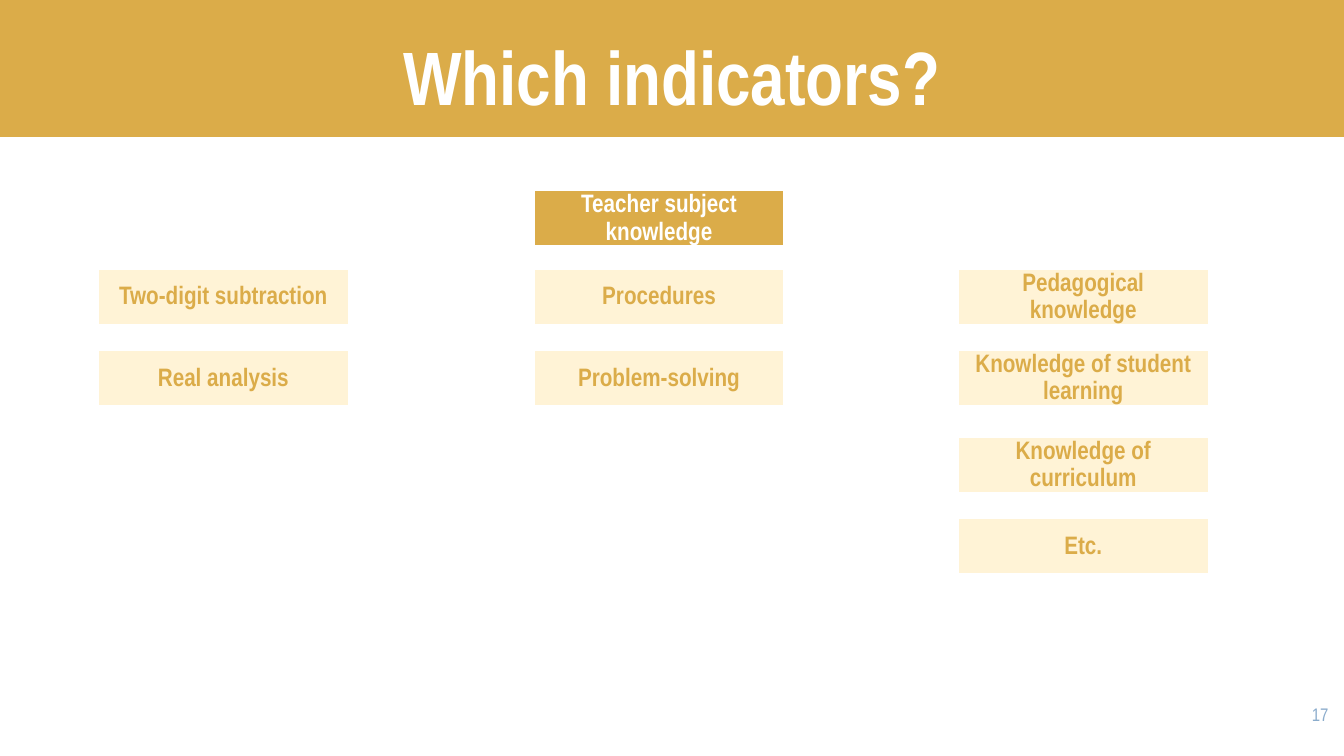
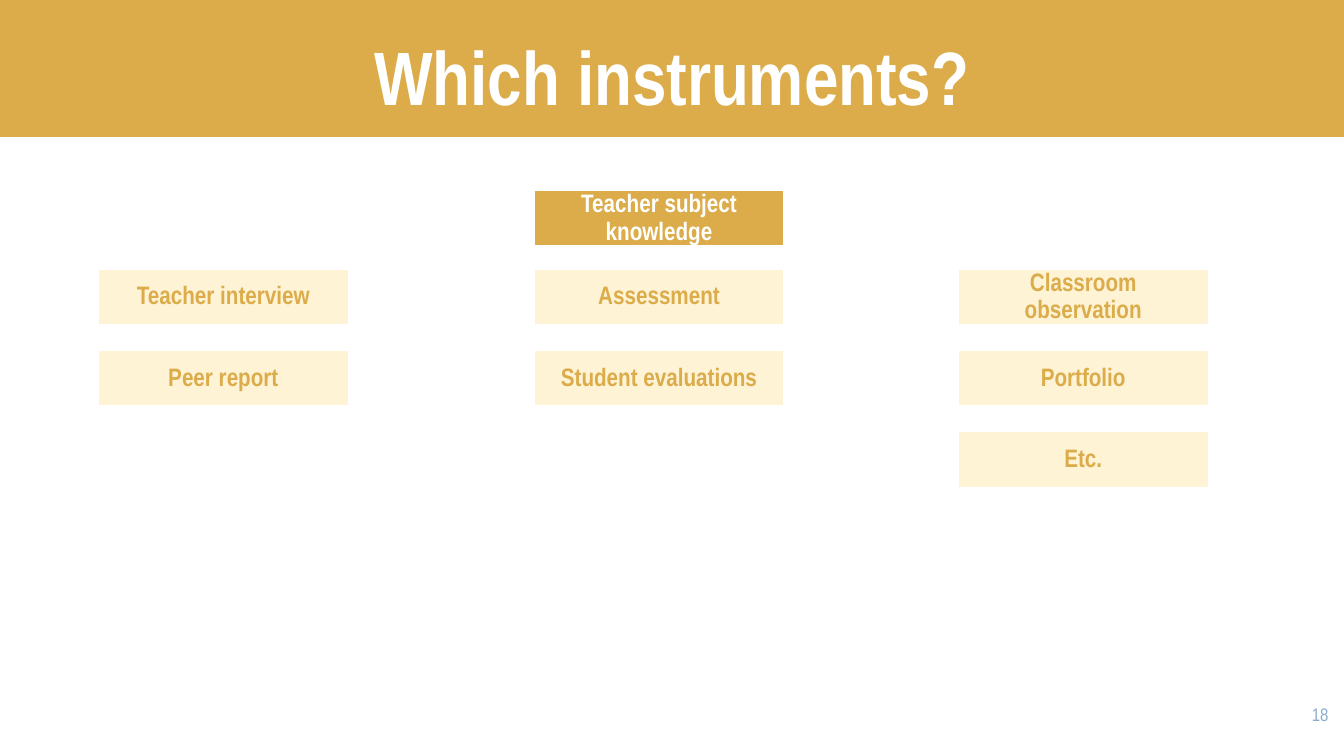
from pptx import Presentation
from pptx import util as u
from pptx.dml.color import RGBColor
from pptx.enum import shapes, text

COLORS = {"gold": "DBAC49", "cream": "FFF3D6", "white": "FFFFFF", "number": "8BACCC"}
FONT = "Arial Narrow"
SLIDE_W, SLIDE_H = 33.87, 19.05
BAND_H = 3.45
COLUMNS_X = (2.46, 13.44, 24.13)
BOX_W, BOX_H = 6.34, 1.44
HEAD_Y, GRID_Y, PITCH = 4.78, 6.76, 2.05

SLIDES = [
    {
        "title": "Which indicators?",
        "number": "17",
        "columns": [
            ["Two-digit subtraction", "Real analysis"],
            ["Procedures", "Problem-solving"],
            ["Pedagogical knowledge", "Knowledge of student learning",
             "Knowledge of curriculum", "Etc."],
        ],
        "lower_shift": 0.13,
    },
    {
        "title": "Which instruments?",
        "number": "18",
        "columns": [
            ["Teacher interview", "Peer report"],
            ["Assessment", "Student evaluations"],
            ["Classroom observation", "Portfolio", "Etc."],
        ],
        "lower_shift": 0,
    },
]


def rgb(name):
    """Return the named palette colour."""
    return RGBColor.from_string(COLORS[name])


def write(sp, words, size, color, align, anchor, bold=False, inset=(0.25, 0.13), spacing=1.0):
    """Write one line of styled text into a shape."""
    tf = sp.text_frame
    tf.word_wrap = True
    tf.vertical_anchor = anchor
    tf.margin_left = tf.margin_right = u.Cm(inset[0])
    tf.margin_top = tf.margin_bottom = u.Cm(inset[1])
    p = tf.paragraphs[0]
    p.alignment = align
    p.line_spacing = spacing
    r = p.add_run()
    r.text = words
    r.font.name, r.font.size, r.font.bold = FONT, u.Pt(size), bold
    r.font.color.rgb = rgb(color)


def add_rect(s, x, y, w, h, fill):
    """Add a flat rectangle without an outline."""
    sp = s.shapes.add_shape(shapes.MSO_SHAPE.RECTANGLE, u.Cm(x), u.Cm(y), u.Cm(w), u.Cm(h))
    sp.shadow.inherit = False
    sp.fill.solid()
    sp.fill.fore_color.rgb = rgb(fill)
    sp.line.fill.background()
    return sp


def add_frame(s, title, number):
    """Add the title band, the title and the page number."""
    add_rect(s, 0, 0, SLIDE_W, BAND_H, "gold")
    sp = s.shapes.add_textbox(0, u.Cm(-0.28), u.Cm(SLIDE_W), u.Cm(BAND_H))
    write(sp, title, 54, "white", text.PP_ALIGN.CENTER, text.MSO_ANCHOR.BOTTOM, bold=True)
    sp = s.shapes.add_textbox(u.Cm(31.7), u.Cm(17.6), u.Cm(2.03), u.Cm(1.45))
    write(sp, number, 13, "number", text.PP_ALIGN.RIGHT, text.MSO_ANCHOR.TOP)


def add_box(s, x, y, label, fill, color):
    """Add one labelled box with a white outline."""
    sp = add_rect(s, x, y, BOX_W, BOX_H, fill)
    sp.line.color.rgb = rgb("white")
    sp.line.width = u.Pt(2)
    write(sp, label, 18, color, text.PP_ALIGN.CENTER, text.MSO_ANCHOR.MIDDLE,
          bold=True, inset=(0.3, 0.3), spacing=0.9)


def add_column(s, x, y, labels, lower_shift):
    """Stack boxes from a top corner, moving the third and later ones by a shift."""
    for row, label in enumerate(labels):
        shift = lower_shift if row >= 2 else 0
        add_box(s, x, y + row * PITCH + shift, label, "cream", "gold")


def add_topic_slide(prs, title, number, columns, lower_shift):
    """Add a slide with a heading box over three columns of boxes."""
    s = prs.slides.add_slide(prs.slide_layouts[6])
    add_frame(s, title, number)
    add_box(s, COLUMNS_X[1], HEAD_Y, "Teacher subject knowledge", "gold", "white")
    for x, labels in zip(COLUMNS_X, columns):
        add_column(s, x, GRID_Y, labels, lower_shift)


def main():
    """Build and save the presentation."""
    prs = Presentation()
    prs.slide_width, prs.slide_height = u.Cm(SLIDE_W), u.Cm(SLIDE_H)
    for content in SLIDES:
        add_topic_slide(prs, **content)
    prs.save("out.pptx")


if __name__ == "__main__":
    main()
